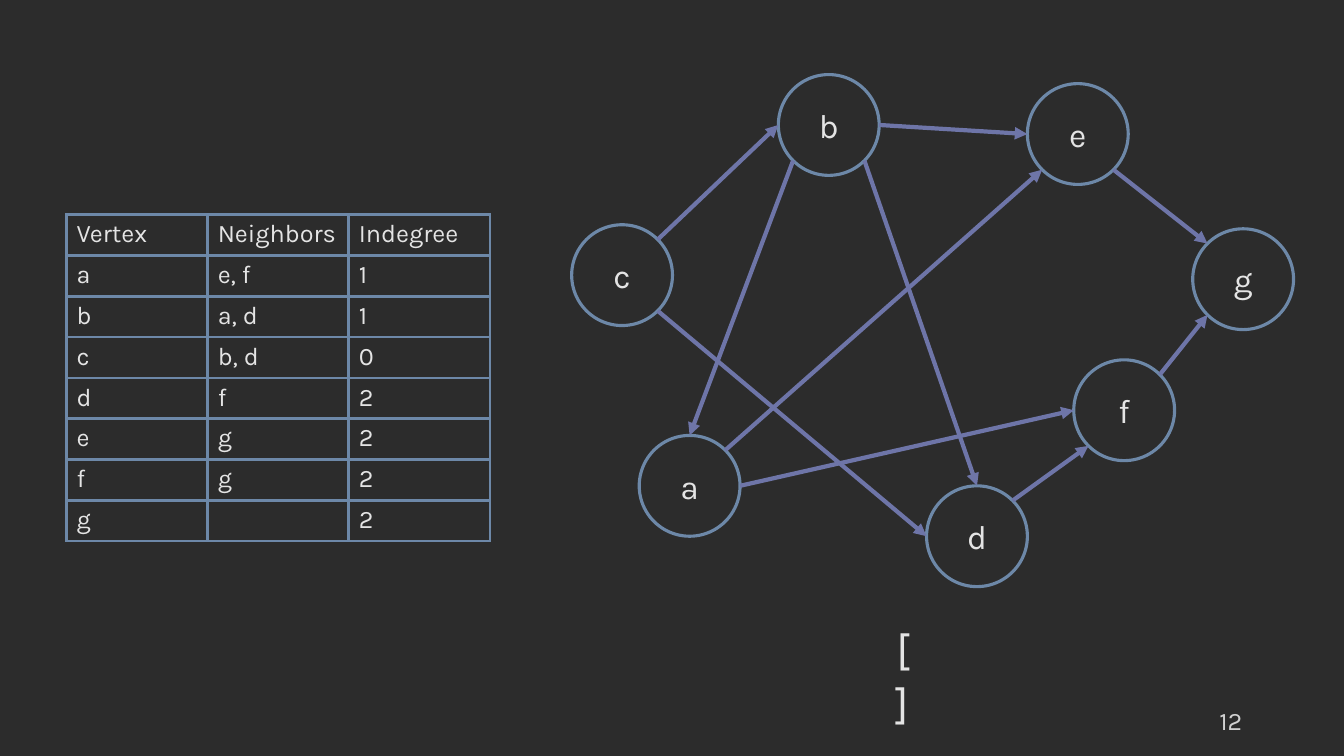
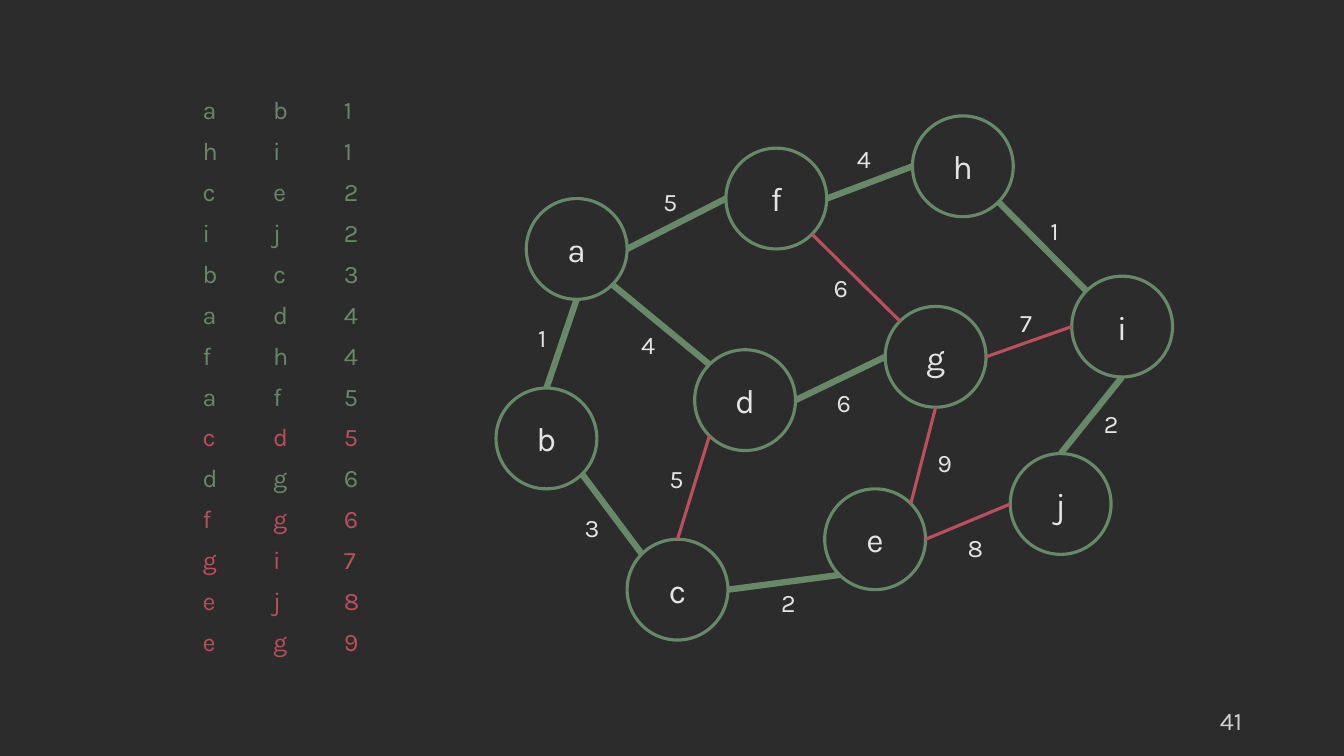
import math
from dataclasses import dataclass
from typing import Any, Optional

import lxml.etree
import pptx
import pptx.dml.color
import pptx.enum.shapes
import pptx.enum.text
import pptx.oxml.ns
import pptx.util

RGB = pptx.dml.color.RGBColor
ALIGN = pptx.enum.text.PP_ALIGN
ANCHOR = pptx.enum.text.MSO_ANCHOR
qn = pptx.oxml.ns.qn


@dataclass(frozen=True)
class Theme:
    font: str = "Karla"
    back: str = "2C2C2C"
    text: str = "E4E4E4"
    muted: str = "D1D1D1"
    blue: str = "6D88A8"
    violet: str = "6E75A8"
    green: str = "668A68"
    red: str = "BB4F5C"
    body: int = 18
    node: int = 24
    large: int = 32
    outline: float = 2.25
    arrow: float = 3
    chosen: float = 4.5


@dataclass(frozen=True)
class Node:
    name: str
    col: float
    row: float


@dataclass(frozen=True)
class Edge:
    start: str
    start_side: str
    end: str
    end_side: str
    color: str
    width: float
    arrow: bool = False


@dataclass(frozen=True)
class Weight:
    value: int
    col: float
    row: float


T = Theme()

# Grid: one cell is as wide and high as a node
COLS, ROWS = 13.33, 7.5
NO_STYLE = "{2D5ABB26-0587-4C30-8999-92F81FD0307C}"
SIDES = ["E", "SE", "S", "SW", "W", "NW", "N", "NE"]


def grid(*cells: float) -> list[int]:
    return [pptx.util.Inches(c) for c in cells]


def apply(obj: Any, values: dict[str, Any]) -> None:
    for name, value in values.items():
        setattr(obj, name, value)


def write(tf: Any, text: str, size: int, color: str = T.text, align: Any = ALIGN.LEFT) -> None:
    p = tf.paragraphs[0]
    p.alignment = align
    r = p.add_run()
    r.text = text
    apply(r.font, {"name": T.font, "size": pptx.util.Pt(size)})
    r.font.color.rgb = RGB.from_string(color)


def add_text(shapes: Any, box: tuple, text: str, size: int, color: str = T.text,
             align: Any = ALIGN.LEFT, **frame: Any) -> None:
    tf = shapes.add_textbox(*grid(*box)).text_frame
    apply(tf, {"word_wrap": False, **frame})
    write(tf, text, size, color, align)


def set_line(line: Any, color: str, width: float) -> None:
    line.color.rgb = RGB.from_string(color)
    line.width = pptx.util.Pt(width)


# Graph parts
def add_node(shapes: Any, node: Node, color: str) -> None:
    sp = shapes.add_shape(pptx.enum.shapes.MSO_SHAPE.OVAL, *grid(node.col, node.row, 1, 1))
    sp.shadow.inherit = False
    sp.fill.background()
    set_line(sp.line, color, T.outline)
    sp.text_frame.vertical_anchor = ANCHOR.MIDDLE
    write(sp.text_frame, node.name, T.node, align=ALIGN.CENTER)


def rim(node: Node, side: str) -> list[int]:
    angle = SIDES.index(side) * math.pi / 4
    return grid(node.col + 0.5 + math.cos(angle) / 2, node.row + 0.5 + math.sin(angle) / 2)


def add_edge(shapes: Any, nodes: dict[str, Node], edge: Edge) -> None:
    line = shapes.add_connector(
        pptx.enum.shapes.MSO_CONNECTOR.STRAIGHT,
        *rim(nodes[edge.start], edge.start_side), *rim(nodes[edge.end], edge.end_side))
    set_line(line.line, edge.color, edge.width)
    sp_pr = line._element.spPr
    if edge.arrow:
        lxml.etree.SubElement(sp_pr.find(qn("a:ln")), qn("a:tailEnd"), type="triangle")
    lxml.etree.SubElement(sp_pr, qn("a:effectLst"))


def add_graph(shapes: Any, nodes: list[Node], edges: list[Edge], color: str) -> None:
    by_name = {n.name: n for n in nodes}
    for node in nodes:
        add_node(shapes, node, color)
    for edge in edges:
        add_edge(shapes, by_name, edge)


# Tables
def add_border(cell: Any, color: str) -> None:
    tc_pr = cell._tc.get_or_add_tcPr()
    for side in ("lnL", "lnR", "lnT", "lnB"):
        ln = lxml.etree.SubElement(tc_pr, qn("a:" + side), w=str(pptx.util.Pt(T.outline)))
        fill = lxml.etree.SubElement(ln, qn("a:solidFill"))
        lxml.etree.SubElement(fill, qn("a:srgbClr"), val=color)


def add_table(s: Any, box: tuple, rows: list[tuple], colors: list[str],
              border: Optional[str] = None) -> None:
    table = s.shapes.add_table(len(rows), len(rows[0]), *grid(*box)).table
    apply(table, {"first_row": False, "horz_banding": False})
    table._tbl.tblPr.find(qn("a:tableStyleId")).text = NO_STYLE
    for i, (row, color) in enumerate(zip(rows, colors)):
        for j, text in enumerate(row):
            cell = table.cell(i, j)
            if border:
                add_border(cell, border)
            cell.fill.background()
            write(cell.text_frame, str(text), T.body, color)


def add_slide(prs: Any, number: int) -> Any:
    s = prs.slides.add_slide(prs.slide_layouts[6])
    s.background.fill.solid()
    s.background.fill.fore_color.rgb = RGB.from_string(T.back)
    add_text(s.shapes, (9.42, 6.95, 3, 0.4), str(number), T.body, T.muted, ALIGN.RIGHT,
             word_wrap=True, vertical_anchor=ANCHOR.MIDDLE)
    return s


# Slide: vertices with their indegrees
def indegree_slide(prs: Any) -> None:
    s = add_slide(prs, 12)
    nodes = [Node("b", 7.72, 0.74), Node("a", 6.34, 4.32), Node("c", 5.67, 2.23),
             Node("e", 10.19, 0.83), Node("d", 9.19, 4.82), Node("f", 10.65, 3.57),
             Node("g", 11.83, 2.27)]
    links = ["c NE b W", "c SE d W", "b SW a N", "b SE d N", "a NE e SW", "b E e W",
             "a E f W", "f NE g SW", "e SE g NW", "d NE f SW"]
    edges = [Edge(*link.split(), T.violet, T.arrow, True) for link in links]
    add_graph(s.shapes, nodes, edges, T.blue)
    add_text(s.shapes, (8.79, 6.12, 0.56, 0.64), "[ ]", T.large,
             word_wrap=True, margin_right=pptx.util.Inches(0.25))
    rows = [("Vertex", "Neighbors", "Indegree"), ("a", "e, f", 1), ("b", "a, d", 1),
            ("c", "b, d", 0), ("d", "f", 2), ("e", "g", 2), ("f", "g", 2), ("g", "", 2)]
    add_table(s, (0.66, 2.13, 4.2, 3.24), rows, [T.text] * len(rows), T.blue)


# Slide: minimum spanning tree, with the edges sorted by weight
def spanning_tree_slide(prs: Any) -> None:
    s = add_slide(prs, 41)
    nodes = [Node("c", 6.22, 5.35), Node("b", 4.92, 3.85), Node("d", 6.89, 3.47),
             Node("a", 5.22, 1.97), Node("f", 7.2, 1.47), Node("e", 8.18, 4.85),
             Node("g", 8.78, 3.04), Node("h", 9.05, 1.15), Node("i", 10.63, 2.74),
             Node("j", 10.02, 4.5)]
    chosen = {"a S b N": Weight(1, 5.24, 3.15), "a E f W": Weight(5, 6.48, 1.8),
              "e SW c E": Weight(2, 7.65, 5.78), "b SE c NW": Weight(3, 5.7, 5.03),
              "a SE d NW": Weight(4, 6.26, 3.22), "d E g W": Weight(6, 8.2, 3.79),
              "j N i S": Weight(2, 10.85, 4), "i NW h SE": Weight(1, 10.32, 2.09),
              "h W f E": Weight(4, 8.4, 1.37)}
    rejected = {"g NW f SE": Weight(6, 8.17, 2.65), "g S e NE": Weight(9, 9.2, 4.39),
                "d SW c N": Weight(5, 6.54, 4.55), "g E i W": Weight(7, 10.02, 3),
                "e E j W": Weight(8, 9.5, 5.23)}
    edges, listed = [], []
    group = s.shapes.add_group_shape()
    for links, color, width in ((chosen, T.green, T.chosen), (rejected, T.red, T.outline)):
        for link, weight in links.items():
            edge = Edge(*link.split(), color, width)
            edges.append(edge)
            listed.append((weight.value, *sorted((edge.start, edge.end)), color))
            add_text(group.shapes, (weight.col, weight.row, 0.34, 0.4),
                     str(weight.value), T.body)
    add_graph(group.shapes, nodes, edges, T.green)
    listed.sort()
    add_table(s, (1.91, 0.91, 2.1, 5.68), [(u, v, value) for value, u, v, _ in listed],
              [color for *_, color in listed])


def main() -> None:
    prs = pptx.Presentation()
    prs.slide_width, prs.slide_height = grid(COLS, ROWS)
    indegree_slide(prs)
    spanning_tree_slide(prs)
    prs.save("out.pptx")


if __name__ == "__main__":
    main()
